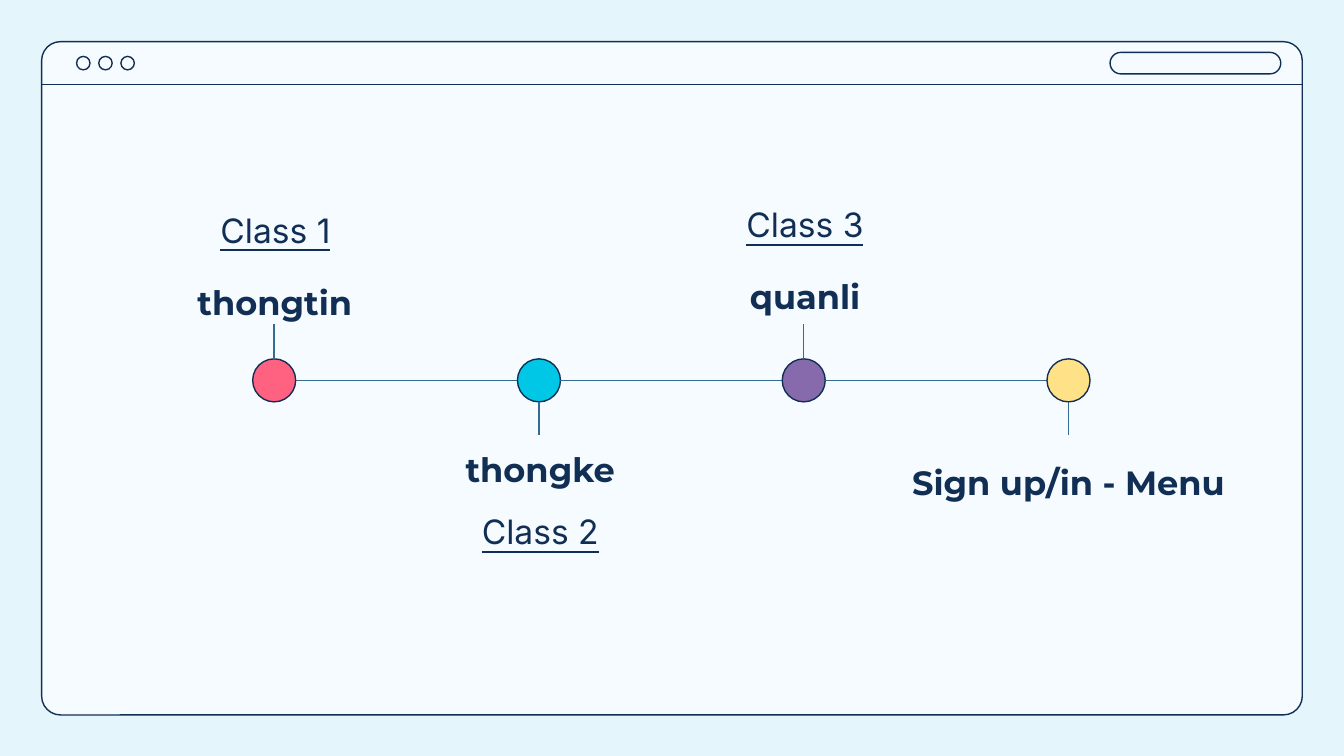
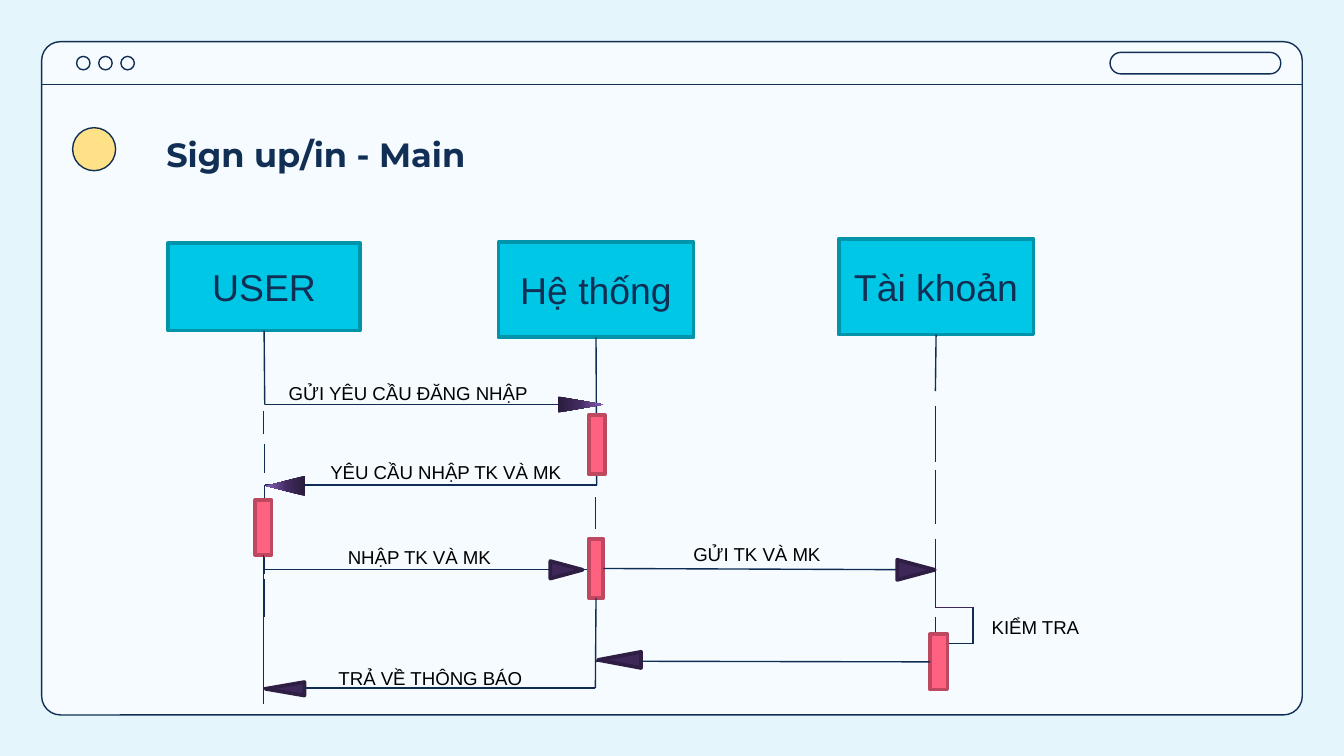
from copy import deepcopy
from lxml.etree import SubElement
from pptx import Presentation
from pptx.dml.color import RGBColor
from pptx.enum.shapes import MSO_CONNECTOR, MSO_SHAPE
from pptx.enum.text import MSO_ANCHOR, MSO_AUTO_SIZE, PP_ALIGN
from pptx.oxml.ns import qn
from pptx.shapes.connector import Connector
from pptx.util import Inches, Pt

NAVY, DEEP, BLUE = "112E54", "0F2D54", "356B90"
PINK, CYAN, PLUM, GOLD = "FF6180", "00C7E6", "866AAC", "FFE188"
HEAD = {"name": "Montserrat", "size": Pt(18), "bold": True}
CLASS = {"name": "Inter", "size": Pt(18), "underline": True}
ACTOR = {"name": "Arial", "size": Pt(20)}
NOTE = {"name": "Arial", "size": Pt(10)}
EVEN = {"margin_" + side: Inches(0.1) for side in ("left", "top", "right", "bottom")}
CENTER = {"alignment": PP_ALIGN.CENTER}
LOOSE = {**CENTER, "line_spacing": 1.15}
TOP, LOW = MSO_ANCHOR.TOP, MSO_ANCHOR.BOTTOM


def paint(item, line, fill=None, width=0.75):
    """Set outline and fill of a shape or connector, without shadow."""
    if line:
        item.line.color.rgb = RGBColor.from_string(line)
        item.line.width = Pt(width)
    else:
        item.line.fill.background()
    if isinstance(item, Connector):
        SubElement(item.element.spPr, qn("a:effectLst"))
        return
    item.shadow.inherit = False
    if fill:
        item.fill.solid()
        item.fill.fore_color.rgb = RGBColor.from_string(fill)
    else:
        item.fill.background()


def write(item, text, font, color=NAVY, para={}, **frame):
    """Fill a shape with one formatted paragraph."""
    body = item.text_frame
    body.text = text
    first = body.paragraphs[0]
    first.font.color.rgb = RGBColor.from_string(color)
    for part, look in ((body, {"word_wrap": True, **frame}), (first, para), (first.font, font)):
        for key, value in look.items():
            setattr(part, key, value)


prs = Presentation()
prs.slide_width, prs.slide_height = Inches(10), Inches(5.625)
master = prs.slide_master
back = master.background.fill
back.solid()
back.fore_color.rgb = RGBColor.from_string("E4F5FB")

# Browser window, drawn once and moved to the master
plan = prs.slides.add_slide(prs.slide_layouts[6])
shapes = plan.shapes
window = shapes.add_shape(MSO_SHAPE.ROUNDED_RECTANGLE, *map(Inches, (0.31, 0.31, 9.38, 5.01)))
window.adjustments[0] = 0.028
paint(window, NAVY, "F5FBFF")
for i in range(3):
    button = shapes.add_shape(MSO_SHAPE.OVAL, *map(Inches, (0.57 + 0.165 * i, 0.42, 0.1, 0.1)))
    paint(button, NAVY)
search = shapes.add_shape(MSO_SHAPE.ROUNDED_RECTANGLE, *map(Inches, (8.26, 0.39, 1.27, 0.16)))
search.adjustments[0] = 0.5
paint(search, NAVY)
rule = shapes.add_connector(MSO_CONNECTOR.STRAIGHT, *map(Inches, (0.31, 0.63, 9.69, 0.63)))
paint(rule, NAVY)
for i, item in enumerate(list(shapes)):
    item.element.xpath(".//p:cNvPr")[0].set("id", str(100 + i))
    master.shapes.element.append(item.element)

# Slide 1: timeline of classes
labels = [
    ("thongtin", HEAD, TOP, (0.24, 1.95, 3.61, 0.5)),
    ("Class 1", CLASS, LOW, (0.79, 1.33, 2.52, 0.63)),
    ("thongke", HEAD, LOW, (2.76, 3.24, 2.52, 0.5)),
    ("Class 2", CLASS, TOP, (2.76, 3.66, 2.52, 0.63)),
    ("quanli", HEAD, TOP, (4.73, 1.91, 2.52, 0.5)),
    ("Class 3", CLASS, LOW, (4.73, 1.29, 2.52, 0.63)),
    ("Sign up/in - Menu", HEAD, LOW, (6.52, 3.34, 2.86, 0.5)),
]
for text, font, anchor, box in labels:
    label = shapes.add_textbox(*map(Inches, box))
    write(label, text, font, para=LOOSE, vertical_anchor=anchor, **EVEN)

STEP, DOT = 1.97, 0.32
for i, color in enumerate((PINK, CYAN, PLUM, GOLD)):
    left = 1.88 + STEP * i
    mid = left + DOT / 2
    dot = shapes.add_shape(MSO_SHAPE.OVAL, *map(Inches, (left, 2.67, DOT, DOT)))
    paint(dot, NAVY, color)
    links = [(mid, 2.99, mid, 3.24) if i % 2 else (mid, 2.67, mid, 2.41)]
    if i < 3:
        links.append((left + DOT, 2.83, left + STEP, 2.83))
    for ends in links:
        link = shapes.add_connector(MSO_CONNECTOR.STRAIGHT, *map(Inches, ends))
        paint(link, BLUE)

# Slide 2: sign-in sequence
flow = prs.slides.add_slide(prs.slide_layouts[5])
shapes = flow.shapes
title = shapes.title
title.left, title.top, title.width, title.height = map(Inches, (0.92, 0.9, 2.86, 0.5))
write(title, "Sign up/in - Main", HEAD, para=LOOSE, vertical_anchor=LOW,
      auto_size=MSO_AUTO_SIZE.NONE, **EVEN)
dot = shapes.add_shape(MSO_SHAPE.OVAL, *map(Inches, (0.54, 0.95, DOT, DOT)))
paint(dot, NAVY, GOLD)

actors = []
for text, box in (("USER", (1.25, 1.81, 1.43, 0.65)),
                  ("Hệ thống", (3.71, 1.8, 1.45, 0.71)),
                  ("Tài khoản", (6.24, 1.78, 1.45, 0.71))):
    actor = shapes.add_shape(MSO_SHAPE.RECTANGLE, *map(Inches, box))
    paint(actor, "0093AA", CYAN, 2)
    write(actor, text, ACTOR, para=CENTER, vertical_anchor=MSO_ANCHOR.MIDDLE)
    actors.append(actor)
user, system, account = actors

# Lifelines that hang from an actor
for actor, x, y in ((user, 1.97, 3.01), (system, 4.44, 3.61), (account, 6.96, 2.91)):
    life = shapes.add_connector(MSO_CONNECTOR.STRAIGHT, *map(Inches, (x, y, x, y)))
    life.begin_connect(actor, 2)
    paint(life, DEEP)

# Free lifeline dashes (x, from, to), then messages (from, to, y)
dashes = [
    (1.97, 3.61, 4.27), (1.96, 3.06, 3.23), (1.97, 3.3, 3.52), (1.97, 4.31, 4.59),
    (4.43, 3.7, 3.94), (4.43, 4, 4.24),
    (6.96, 3.02, 3.44), (6.96, 3.5, 3.9), (6.96, 4.01, 4.24), (6.96, 4.23, 4.52),
    (6.96, 4.59, 4.72), (7.24, 4.52, 4.79),
]
calls = [(1.97, 4.44, 3.01), (4.44, 1.97, 3.61), (1.96, 4.44, 4.24),
         (6.96, 7.24, 4.52), (7.24, 6.96, 4.79), (4.43, 1.96, 5.12)]
for ends in [(x, a, x, b) for x, a, b in dashes] + [(a, y, b, y) for a, b, y in calls]:
    line = shapes.add_connector(MSO_CONNECTOR.STRAIGHT, *map(Inches, ends))
    paint(line, "3E285A" if ends[1] == ends[3] == 4.52 else DEEP)

bars = []
for box in ((1.9, 3.72, 0.12, 0.41), (4.38, 3.09, 0.12, 0.44),
            (4.38, 4.01, 0.11, 0.44), (6.92, 4.72, 0.13, 0.41)):
    bar = shapes.add_shape(MSO_SHAPE.RECTANGLE, *map(Inches, box))
    paint(bar, "BD485F", PINK, 2)
    bars.append(bar)
enter, ask, send, check = bars

# Lines that leave an activation bar
for bar, site, x, y in ((enter, 2, 1.96, 5.24), (send, 2, 4.43, 5.12),
                        (send, 3, 6.96, 4.24), (check, 1, 4.43, 4.92)):
    line = shapes.add_connector(MSO_CONNECTOR.STRAIGHT, *map(Inches, (x, y, x, y)))
    line.begin_connect(bar, site)
    paint(line, DEEP)

notes = [
    ("GỬI YÊU CẦU ĐĂNG NHẬP", 2.05, 2.79, 2.07),
    ("YÊU CẦU NHẬP TK VÀ MK", 2.36, 3.38, 2.9),
    ("NHẬP TK VÀ MK", 2.49, 4.01, 1.94),
    ("GỬI TK VÀ MK", 5.06, 3.99, 2.35),
    ("KIỂM TRA", 7.28, 4.53, 1.25),
    ("TRẢ VỀ THÔNG BÁO", 2.42, 4.91, 1.59),
]
for text, x, y, wide in notes:
    note = shapes.add_textbox(*map(Inches, (x, y, wide, 0.27)))
    write(note, text, NOTE, "000000", auto_size=MSO_AUTO_SIZE.SHAPE_TO_FIT_TEXT,
          word_wrap=not text.startswith("TRẢ"))

# Arrowheads: box, turn, whether the fill is graded
heads = [
    ((4.26, 2.84, 0.12, 0.34), 90, True),
    ((2.05, 3.47, 0.15, 0.29), 270, True),
    ((4.15, 4.12, 0.13, 0.24), 90, False),
    ((6.74, 4.1, 0.15, 0.28), 90, False),
    ((4.55, 4.75, 0.12, 0.32), 270, False),
    ((2.07, 4.98, 0.1, 0.29), 270, False),
]
for box, turn, graded in heads:
    head = shapes.add_shape(MSO_SHAPE.ISOSCELES_TRIANGLE, *map(Inches, box))
    head.rotation = turn
    if not graded:
        paint(head, "2E1E43", "3E285A", 2)
        continue
    paint(head, None)
    head.fill.gradient()
    head.fill.gradient_angle = 90
    stop = head.element.xpath(".//a:gs")[0]
    stop.addnext(deepcopy(stop))
    shades = ((0, "2A1B3C"), (0.48, "432C62"), (1, "8861B9"))
    for stop, (place, color) in zip(head.fill.gradient_stops, shades):
        stop.position = place
        stop.color.rgb = RGBColor.from_string(color)

prs.save("out.pptx")
